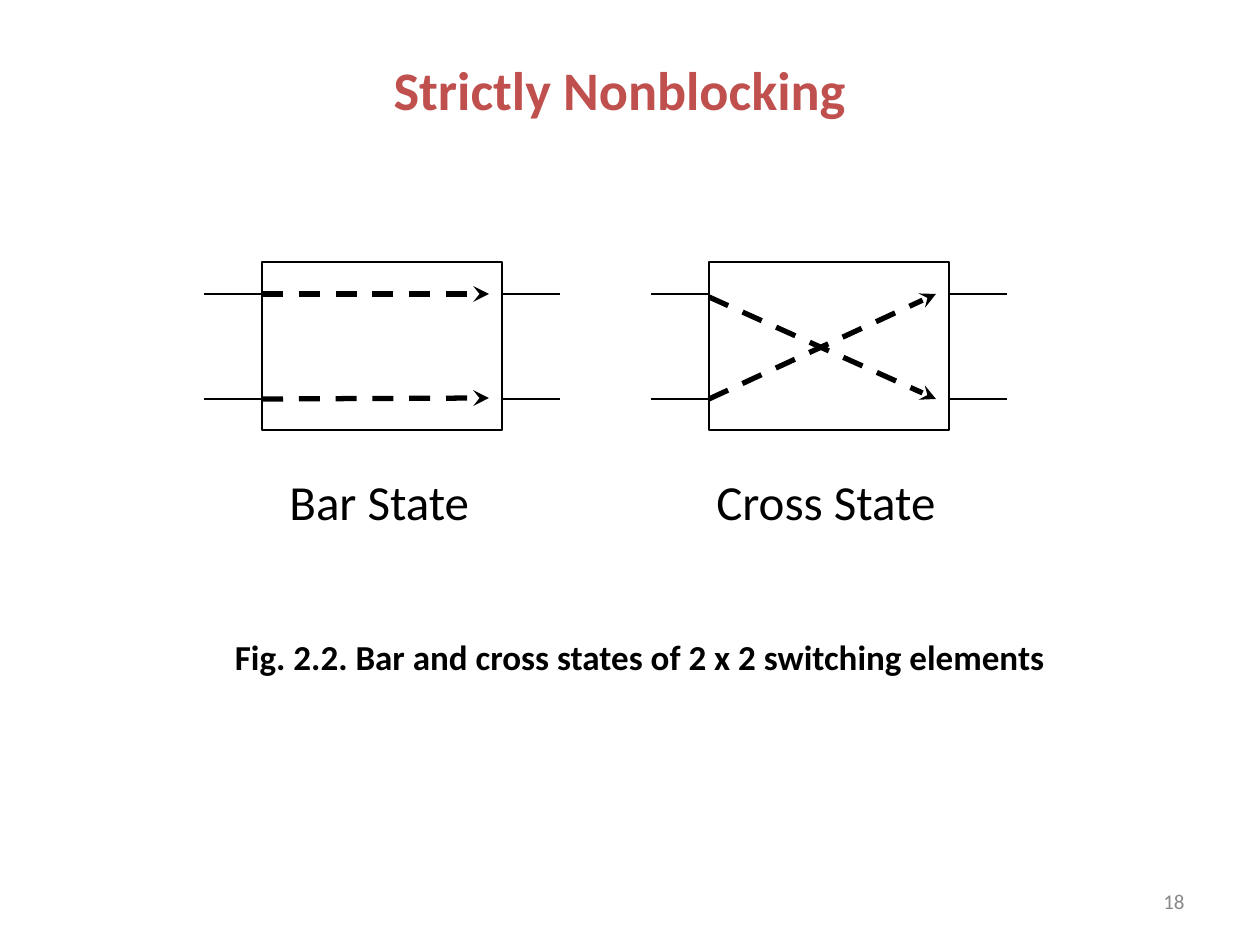
from lxml import etree
from pptx import Presentation
from pptx import util as u
from pptx.dml.color import RGBColor
from pptx.enum import dml, shapes, text
from pptx.oxml import ns

PX = 914400 / 126
COLORS = {"ink": "000000", "heading": "C0504D", "number": "898989"}
FONT = "Calibri"

CAPTION = "Fig. 2.2. Bar and cross states of 2 x 2 switching elements"
HEADING = "Strictly Nonblocking"
PAGE_NUMBER = "18"

BOX_TOP, BOX_WIDTH, BOX_HEIGHT = 262, 240, 168
PORT_ROWS = (294, 399)
PORT_LENGTH = 58
LABEL_TOP, LABEL_HEIGHT = 465, 72
ARROW_LENGTH = 227

# Routes hold the start and end heights of each dashed arrow.
SWITCHES = [
    {"label": "Bar State", "left": 262, "label_left": 277, "label_width": 207,
     "routes": [(294, 294), (399, 398)]},
    {"label": "Cross State", "left": 709, "label_left": 704, "label_width": 246,
     "routes": [(297, 399), (399, 294)]},
]


def px(*lengths):
    return [u.Emu(round(length * PX)) for length in lengths]


def color(name):
    return RGBColor.from_string(COLORS[name])


def write(shape, words, size, color_name="ink", bold=False,
          align=text.PP_ALIGN.CENTER, anchor=text.MSO_ANCHOR.MIDDLE, wrap=True):
    frame = shape.text_frame
    frame.word_wrap = wrap
    frame.vertical_anchor = anchor
    paragraph = frame.paragraphs[0]
    paragraph.alignment = align
    run = paragraph.add_run()
    run.text = words
    run.font.name = FONT
    run.font.size = u.Pt(size)
    run.font.bold = bold
    run.font.color.rgb = color(color_name)


def add_line(parent, x1, y1, x2, y2, width=0.75):
    line = parent.add_connector(shapes.MSO_CONNECTOR.STRAIGHT, *px(x1, y1, x2, y2))
    line.line.color.rgb = color("ink")
    line.line.width = u.Pt(width)
    etree.SubElement(line._element.spPr, ns.qn("a:effectLst"))
    return line


def add_dashed_arrow(parent, *ends):
    arrow = add_line(parent, *ends, width=3)
    arrow.line.dash_style = dml.MSO_LINE.DASH
    etree.SubElement(arrow.line._get_or_add_ln(), ns.qn("a:tailEnd"), type="stealth")


def add_switch(slide, switch):
    group = slide.shapes.add_group_shape().shapes
    left = switch["left"]
    right = left + BOX_WIDTH
    box = group.add_shape(shapes.MSO_SHAPE.RECTANGLE,
                          *px(left, BOX_TOP, BOX_WIDTH, BOX_HEIGHT))
    box.shadow.inherit = False
    box.fill.background()
    box.line.color.rgb = color("ink")
    box.line.width = u.Pt(0.75)
    for port_left in (left - PORT_LENGTH, right):
        for y in PORT_ROWS:
            add_line(group, port_left, y, port_left + PORT_LENGTH, y)
    for start, end in switch["routes"]:
        add_dashed_arrow(group, left, start, left + ARROW_LENGTH, end)
    label = group.add_textbox(*px(switch["label_left"], LABEL_TOP,
                                  switch["label_width"], LABEL_HEIGHT))
    write(label, switch["label"], 28, align=text.PP_ALIGN.LEFT,
          anchor=text.MSO_ANCHOR.TOP, wrap=False)


def main():
    presentation = Presentation()
    presentation.slide_width, presentation.slide_height = px(1260, 945)
    slide = presentation.slides.add_slide(presentation.slide_layouts[5])

    caption = slide.shapes.title
    caption.left, caption.top, caption.width, caption.height = px(94, 609, 1092, 94)
    write(caption, CAPTION, 20, bold=True)

    for switch in SWITCHES:
        add_switch(slide, switch)

    number = slide.shapes.add_textbox(*px(903, 876, 294, 50))
    write(number, PAGE_NUMBER, 12, "number", align=text.PP_ALIGN.RIGHT)
    heading = slide.shapes.add_textbox(*px(84, 42, 1071, 94))
    write(heading, HEADING, 31, "heading", bold=True)

    presentation.save("out.pptx")


if __name__ == "__main__":
    main()
